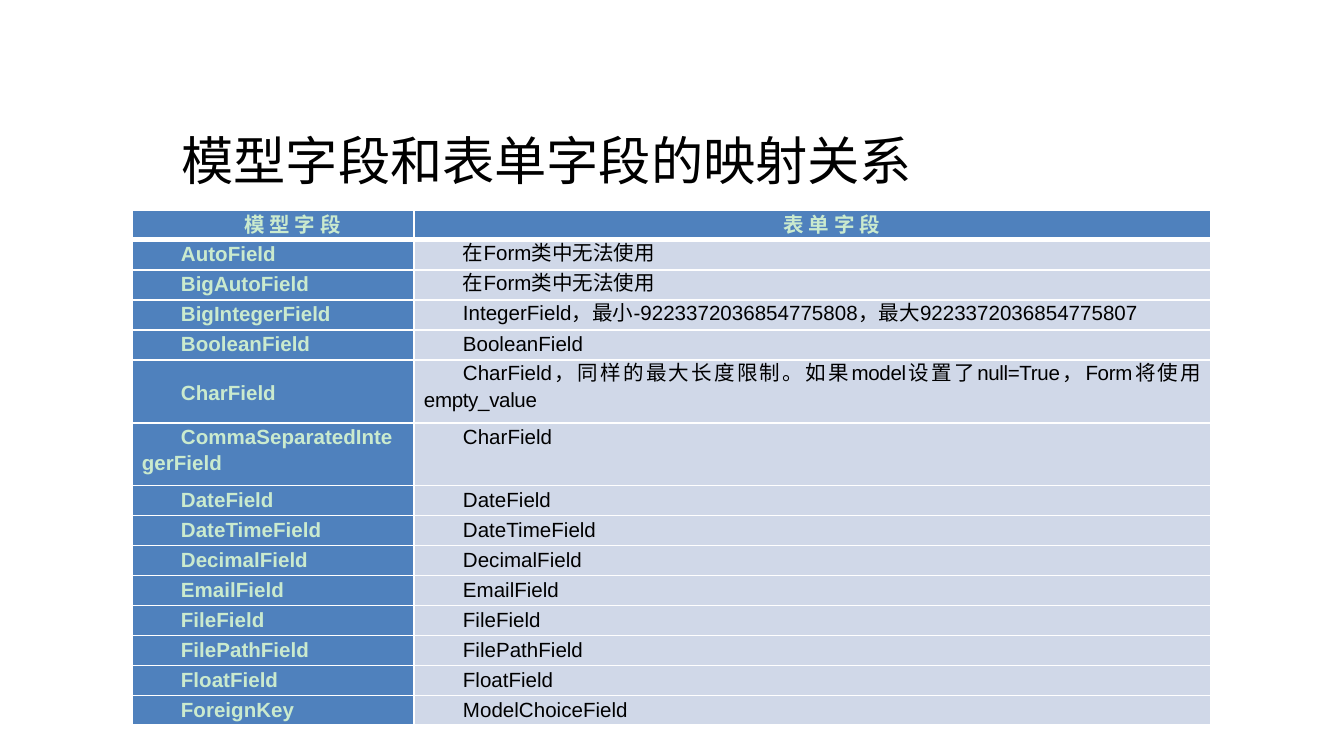
from lxml.etree import SubElement
from pptx import Presentation
from pptx.dml.color import RGBColor
from pptx.enum.text import MSO_ANCHOR as Anchor, MSO_AUTO_SIZE as AutoSize, PP_ALIGN as Align
from pptx.oxml.ns import qn
from pptx.util import Emu, Pt

EMU_PER_PX = 914400 / 134.4
WHITE, BLACK, MINT, BLUE, PALE = "FFFFFF", "000000", "CAEACE", "4F81BD", "D0D8E8"
HEADINGS = ("模 型 字 段", "表 单 字 段")
LIMITED = ("CharField，", "同样的最大长度限制。如果model设置了null=True，Form将使用empty_value")
MAPPINGS = [
    ("AutoField", "在Form类中无法使用"),
    ("BigAutoField", "在Form类中无法使用"),
    ("BigIntegerField", "IntegerField，最小-9223372036854775808，最大9223372036854775807"),
    ("BooleanField", "BooleanField"),
    ("CharField", LIMITED),
    ("CommaSeparatedIntegerField", "CharField"),
    ("DateField", "DateField"),
    ("DateTimeField", "DateTimeField"),
    ("DecimalField", "DecimalField"),
    ("EmailField", "EmailField"),
    ("FileField", "FileField"),
    ("FilePathField", "FilePathField"),
    ("FloatField", "FloatField"),
    ("ForeignKey", "ModelChoiceField"),
]
TALL_FIELDS = ("CharField", "CommaSeparatedIntegerField")
COLUMN_WIDTHS = (282, 797)
ROW_HEIGHT, TALL_HEIGHT = 30, 63


def px(length):
    """Turn pixels into EMU."""
    return Emu(round(length * EMU_PER_PX))


def color(hex_code):
    """Turn a hex string into a colour."""
    return RGBColor.from_string(hex_code)


def style_font(font, name, size, hex_code, bold=False):
    """Set typeface, size, colour and weight."""
    font.name, font.size, font.bold = name, Pt(size), bold
    font.color.rgb = color(hex_code)


def add_title(slide, text):
    """Place and format the slide title."""
    title = slide.shapes.title
    title.left, title.top, title.width, title.height = map(px, (168, 121, 997, 78))
    frame = title.text_frame
    frame.text = text
    frame.word_wrap, frame.auto_size = True, AutoSize.NONE
    frame.vertical_anchor = Anchor.MIDDLE
    heading = frame.paragraphs[0]
    heading.alignment = Align.LEFT
    style_font(heading.font, "Calibri", 28, BLACK)


def add_borders(cell, bottom_width):
    """Draw white lines on all four sides of a cell."""
    for side, width in (("L", 1), ("R", 1), ("T", 1), ("B", bottom_width)):
        line = SubElement(cell._tc.get_or_add_tcPr(), qn(f"a:ln{side}"), w=str(Pt(width)))
        SubElement(SubElement(line, qn("a:solidFill")), qn("a:srgbClr"), val=WHITE)


def fill_cell(cell, parts, is_heading, is_model):
    """Write and format one table cell."""
    add_borders(cell, 3 if is_heading else 1)
    emphasized = is_heading or is_model
    cell.fill.solid()
    cell.fill.fore_color.rgb = color(BLUE if emphasized else PALE)
    cell.margin_left = cell.margin_right = px(10)
    cell.margin_top = cell.margin_bottom = 0
    centered = is_heading or (is_model and parts == ("CharField",))
    cell.vertical_anchor = Anchor.MIDDLE if centered else Anchor.TOP
    entry = cell.text_frame.paragraphs[0]
    entry.alignment = Align.CENTER if is_heading else Align.JUSTIFY
    entry.line_spacing = Pt(14)
    if is_heading:
        entry.space_before, entry.space_after = Pt(9), Pt(3)
    entry._p.get_or_add_pPr().set("indent", str(px(39)))
    for part in parts:
        run = entry.add_run()
        run.text = part
        if part == LIMITED[1]:
            run.font._element.set("spc", "-20")
    style_font(entry.font, "Arial", 11, MINT if emphasized else BLACK, emphasized)


def add_mapping_table(slide):
    """Add the table of model fields and their form fields."""
    rows = [HEADINGS, *MAPPINGS]
    heights = [TALL_HEIGHT if row[0] in TALL_FIELDS else ROW_HEIGHT for row in rows]
    bounds = map(px, (132, 210, sum(COLUMN_WIDTHS), sum(heights)))
    table = slide.shapes.add_table(len(rows), len(COLUMN_WIDTHS), *bounds).table
    for column, width in zip(table.columns, COLUMN_WIDTHS):
        column.width = px(width)
    for r, (texts, height) in enumerate(zip(rows, heights)):
        table.rows[r].height = px(height)
        for c, text in enumerate(texts):
            parts = (text,) if isinstance(text, str) else text
            fill_cell(table.cell(r, c), parts, r == 0, c == 0)


def main():
    """Build and save the slide."""
    deck = Presentation()
    deck.slide_width, deck.slide_height = px(1344), px(756)
    slide = deck.slides.add_slide(deck.slide_layouts[5])
    slide.background.fill.solid()
    slide.background.fill.fore_color.rgb = color(WHITE)
    add_title(slide, "模型字段和表单字段的映射关系")
    add_mapping_table(slide)
    deck.save("out.pptx")


if __name__ == "__main__":
    main()
